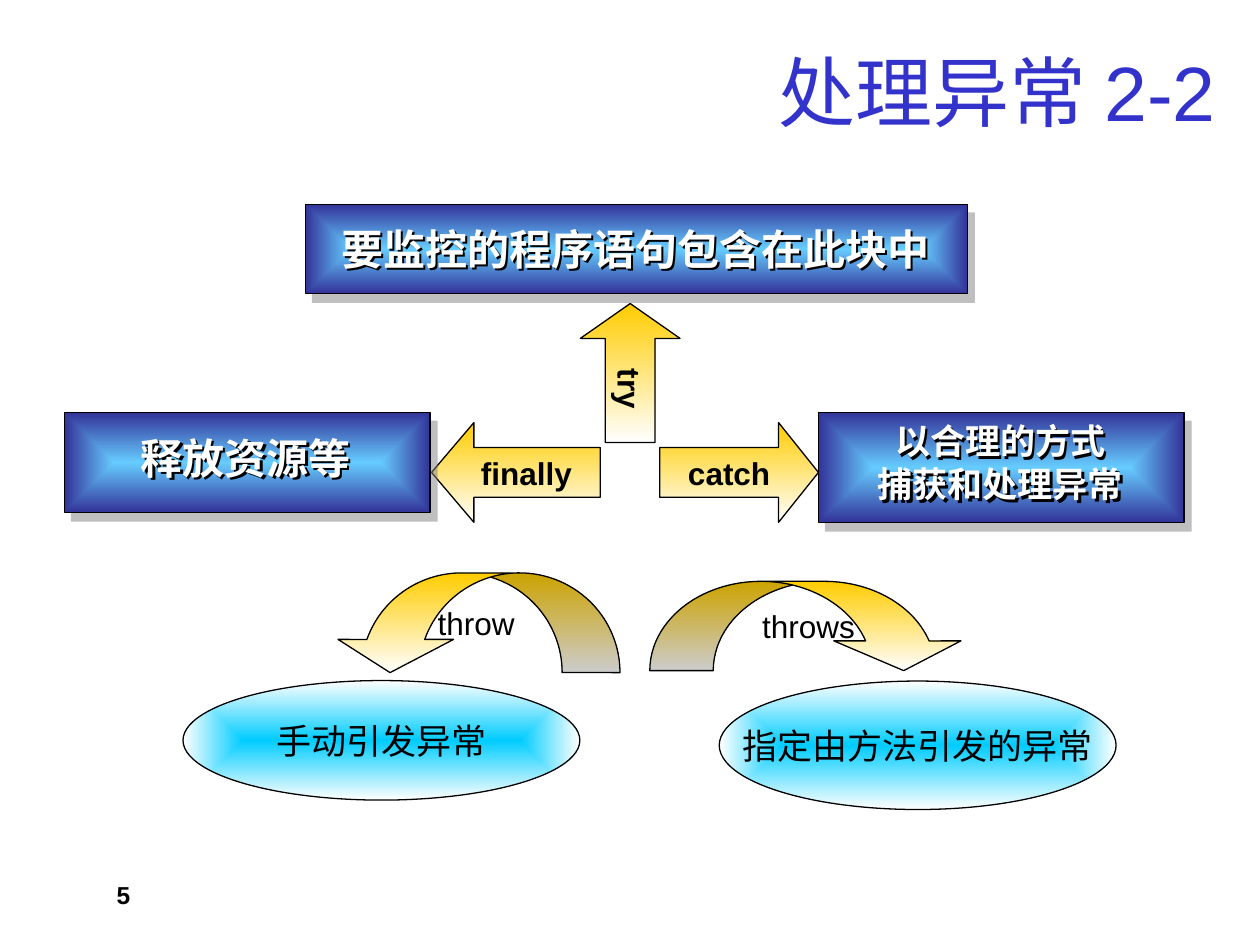
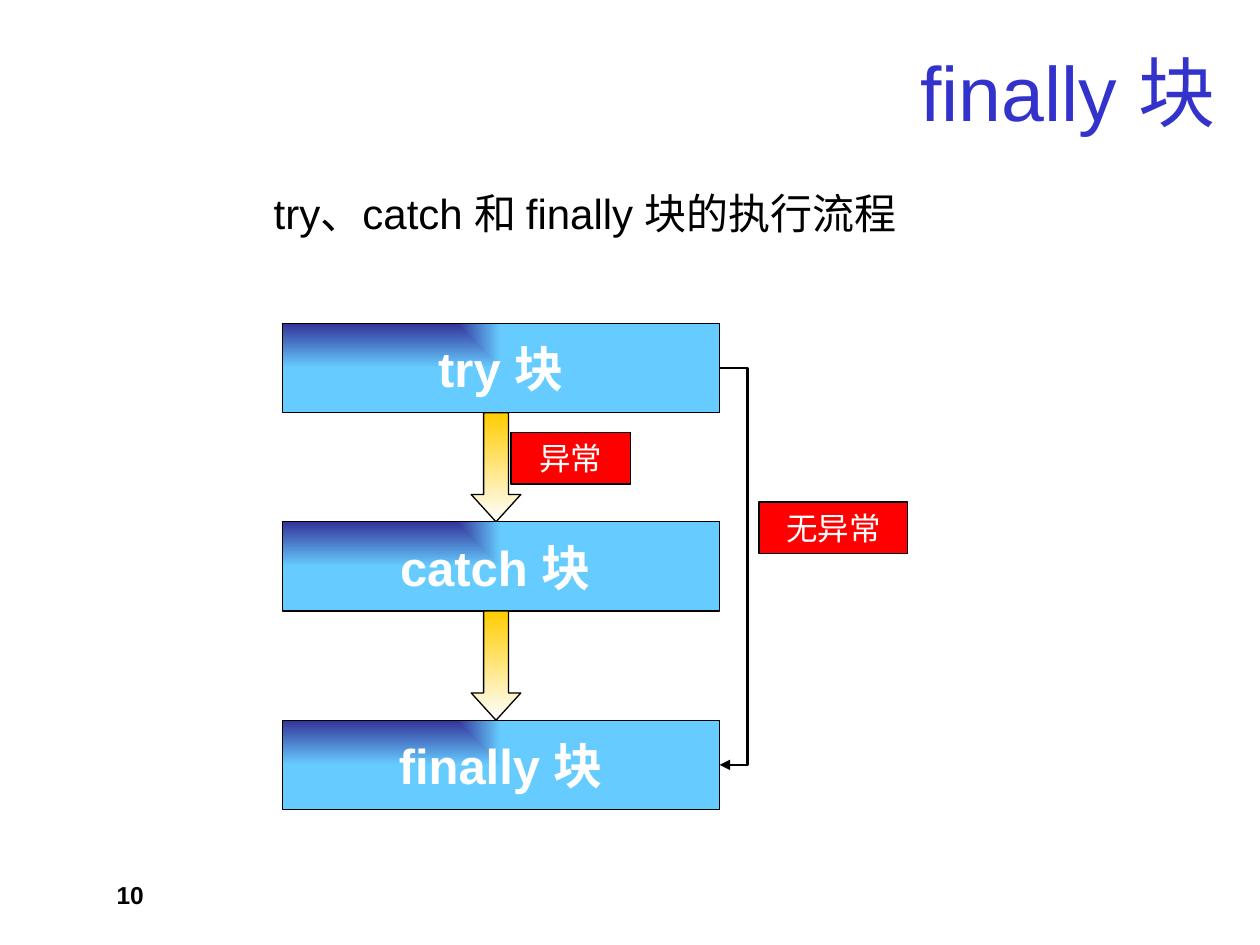
from lxml import etree
from pptx import Presentation
from pptx.dml.color import RGBColor
from pptx.enum.shapes import MSO_CONNECTOR, MSO_SHAPE
from pptx.enum.text import MSO_ANCHOR, PP_ALIGN
from pptx.oxml import parse_xml
from pptx.oxml.ns import nsdecls, qn
from pptx.util import Cm, Pt

RECTANGLE, ELLIPSE = MSO_SHAPE.RECTANGLE, MSO_SHAPE.OVAL
UP, DOWN = MSO_SHAPE.UP_ARROW, MSO_SHAPE.DOWN_ARROW
LEFT, RIGHT = MSO_SHAPE.LEFT_ARROW, MSO_SHAPE.RIGHT_ARROW
CURVED = MSO_SHAPE.CURVED_DOWN_ARROW
ELBOW = MSO_CONNECTOR.ELBOW
MIDDLE = MSO_ANCHOR.MIDDLE
ALIGN_LEFT, CENTER, ALIGN_RIGHT = PP_ALIGN.LEFT, PP_ALIGN.CENTER, PP_ALIGN.RIGHT

COLORS = {
    "title": "3333CC", "black": "000000", "white": "FFFFFF", "red": "FF0000",
    "gold": "FFCC00", "cyan": "00CCFF", "sky": "66CCFF", "navy": "333399",
    "shadow": "808080",
}
SANS, MONO = "Arial", "Courier New"

# Gradients: first colour, last colour, direction
DOWNWARD = '<a:lin ang="5400000" scaled="1"/>'
FROM_CENTER = ('<a:path path="shape">'
               '<a:fillToRect l="50000" t="50000" r="50000" b="50000"/></a:path>')
FROM_CORNER = '<a:path path="rect"><a:fillToRect r="100000" b="100000"/></a:path>'
GOLD = ("gold", "white", DOWNWARD)
GLOW = ("cyan", "white", FROM_CENTER)
BEVEL = ("sky", "navy", FROM_CENTER)
CORNER = ("navy", "sky", FROM_CORNER)

# Content; every area is left, top, width, height in cm
HANDLING_TITLE, HANDLING_NUMBER = "处理异常 2-2", 5
RESULTS = [
    ("手动引发异常", (3.69, 13.72, 8.0, 2.41)),
    ("指定由方法引发的异常", (14.5, 13.73, 8.0, 2.59)),
]
KEYWORD_ARROWS = [
    ("try", UP, (11.7, 6.12, 2.01, 2.8), 0.35),
    ("finally", LEFT, (8.7, 8.52, 3.4, 2.01), 0.425),
    ("catch", RIGHT, (13.3, 8.52, 3.2, 2.01), 0.4),
]
THROW_ARROWS = [
    ("throws", (13.1, 11.72, 6.4, 1.8), (0.711, 1.423, 0.333), False),
    ("throw", (6.7, 11.55, 5.8, 2.01), (0.58, 1.159, 0.333), True),
]
# Lines, box area, text area, text size, line spacing
ACTIONS = [
    (["要监控的程序语句包含在此块中"],
     (6.16, 4.12, 13.34, 1.8), (6.6, 4.57, 12.42, 1.07), 24, 0.8),
    (["以合理的方式", "捕获和处理异常"],
     (16.5, 8.32, 7.37, 2.21), (17.42, 8.46, 5.49, 1.85), 20, 0.85),
    (["释放资源等"],
     (1.3, 8.32, 7.37, 2.01), (2.56, 8.59, 4.78, 1.27), 24, 1.0),
]

FLOW_TITLE, FLOW_NUMBER = "finally 块", 10
FLOW_HEADING = "try、catch 和 finally 块的执行流程"
BLOCKS = ["try 块", "catch 块 ", "finally 块"]
BLOCK_LEFT, BLOCK_TOP, BLOCK_WIDTH, BLOCK_HEIGHT, BLOCK_STEP = 5.69, 6.52, 8.81, 1.8, 4.0
ARROW_LEFT, ARROW_WIDTH = 9.5, 1.0
BYPASS_REACH = 0.57
BRANCH_LABELS = [
    ("无异常", (15.3, 10.12, 3.0, 1.04)),
    ("异常", (10.3, 8.72, 2.41, 1.04)),
]


def color(name):
    return RGBColor.from_string(COLORS[name])


def cm(area):
    return [Cm(length) for length in area]


def write(shape, lines, size, ink="black", bold=False, font=SANS, align=CENTER, wrap=False):
    """Fill a shape with equally formatted, vertically centred lines."""
    frame = shape.text_frame
    frame.word_wrap = wrap
    frame.vertical_anchor = MIDDLE
    frame.text = "\n".join(lines)
    for paragraph in frame.paragraphs:
        paragraph.alignment = align
        paragraph.font.name = font
        paragraph.font.size = Pt(size)
        paragraph.font.bold = bold
        paragraph.font.color.rgb = color(ink)
    return frame


def add_shape(parent, kind, area, fill, adjustments=()):
    """Add an outlined shape; fill is a colour name or a gradient."""
    shape = parent.shapes.add_shape(kind, *cm(area))
    shape.shadow.inherit = False
    shape.line.color.rgb = color("black")
    shape.line.width = Pt(0.75)
    for index, value in enumerate(adjustments):
        shape.adjustments[index] = value
    shape.fill.solid()
    if isinstance(fill, str):
        shape.fill.fore_color.rgb = color(fill)
    else:
        first, last, direction = fill
        properties = shape._element.spPr
        properties.replace(properties.find(qn("a:solidFill")), parse_xml(
            f'<a:gradFill {nsdecls("a")} rotWithShape="1"><a:gsLst>'
            f'<a:gs pos="0"><a:srgbClr val="{COLORS[first]}"/></a:gs>'
            f'<a:gs pos="100000"><a:srgbClr val="{COLORS[last]}"/></a:gs>'
            f'</a:gsLst>{direction}</a:gradFill>'))
    return shape


def cast_shadow(shape, name, distance, angle, alpha):
    """Give a shape a hard shadow; an unfilled one casts it from its text."""
    effects = etree.SubElement(shape._element.spPr, qn("a:effectLst"))
    effects.append(parse_xml(
        f'<a:outerShdw {nsdecls("a")} blurRad="0" dist="{Pt(distance)}" '
        f'dir="{angle * 60000}" algn="ctr"><a:srgbClr val="{COLORS[name]}">'
        f'<a:alpha val="{alpha * 1000}"/></a:srgbClr></a:outerShdw>'))


def add_slide(presentation, title, number):
    """Add a slide with the shared title style and page number."""
    slide = presentation.slides.add_slide(presentation.slide_layouts[5])
    heading = slide.shapes.title
    heading.left, heading.top, heading.width, heading.height = cm((1.9, 0.72, 22.86, 2.21))
    write(heading, [title], 44, "title", align=ALIGN_RIGHT, wrap=True)
    page = slide.shapes.add_textbox(*cm((2.1, 17.73, 5.92, 0.61)))
    frame = write(page, [str(number)], 14, bold=True, align=ALIGN_LEFT, wrap=True)
    frame.margin_top = frame.margin_bottom = 0
    return slide


def build_handling(presentation):
    slide = add_slide(presentation, HANDLING_TITLE, HANDLING_NUMBER)

    # Ellipses with the outcome of throw and throws
    for text, area in RESULTS:
        write(add_shape(slide, ELLIPSE, area, GLOW), [text], 20)

    # Straight arrows named after the keywords
    for keyword, kind, area, head in KEYWORD_ARROWS:
        arrow = add_shape(slide, kind, area, GOLD, (0.5, head))
        frame = write(arrow, [keyword], 18, bold=True)
        if kind == UP:
            frame._txBody.bodyPr.set("vert", "eaVert")
            indent = frame.paragraphs[0]._p.get_or_add_pPr()
            indent.set("marL", str(Cm(0.71)))

    # Curved arrows
    for keyword, area, adjustments, mirrored in THROW_ARROWS:
        arrow = add_shape(slide, CURVED, area, GOLD, adjustments)
        if mirrored:
            arrow._element.spPr.xfrm.set("flipH", "1")
        write(arrow, [keyword], 18)

    # Bevelled boxes, each grouped with its shadowed text
    for lines, box_area, text_area, size, spacing in ACTIONS:
        group = slide.shapes.add_group_shape()
        box = add_shape(group, RECTANGLE, box_area, BEVEL)
        box._element.spPr.remove(box._element.spPr.find(qn("a:effectLst")))
        cast_shadow(box, "shadow", 6.4, 51, 50)
        label = group.shapes.add_textbox(*cm(text_area))
        cast_shadow(label, "black", 2, 45, 100)
        frame = write(label, lines, size, "white", True, MONO)
        for index, paragraph in enumerate(frame.paragraphs):
            paragraph.line_spacing = spacing
            paragraph.space_before = Pt(4 if index else 0)


def build_flow(presentation):
    slide = add_slide(presentation, FLOW_TITLE, FLOW_NUMBER)

    # Blocks, each followed by an arrow to the next
    for index, text in enumerate(BLOCKS):
        top = BLOCK_TOP + index * BLOCK_STEP
        block = add_shape(slide, RECTANGLE, (BLOCK_LEFT, top, BLOCK_WIDTH, BLOCK_HEIGHT), CORNER)
        write(block, [text], 28, "white", True)
        if index < len(BLOCKS) - 1:
            gap = (ARROW_LEFT, top + BLOCK_HEIGHT, ARROW_WIDTH, BLOCK_STEP - BLOCK_HEIGHT)
            add_shape(slide, DOWN, gap, GOLD, (0.5, 0.55))

    # Bypass from the first block to the last
    right = BLOCK_LEFT + BLOCK_WIDTH
    start = BLOCK_TOP + BLOCK_HEIGHT / 2
    end = start + BLOCK_STEP * (len(BLOCKS) - 1)
    sliver = 0.01
    bypass = slide.shapes.add_connector(ELBOW, *cm((right, start, right + sliver, end)))
    bypass.line.color.rgb = color("black")
    bypass.line.width = Pt(1.5)
    properties = bypass._element.spPr
    guides = properties.find(qn("a:prstGeom")).get_or_add_avLst()
    bend = round(BYPASS_REACH / sliver * 100000)
    etree.SubElement(guides, qn("a:gd"), name="adj1", fmla=f"val {bend}")
    etree.SubElement(properties.find(qn("a:ln")), qn("a:tailEnd"), type="triangle")
    etree.SubElement(properties, qn("a:effectLst"))

    # Labels of the two branches
    for text, area in BRANCH_LABELS:
        write(add_shape(slide, RECTANGLE, area, "red"), [text], 18, "white", wrap=True)

    # Heading of the flow
    heading = slide.shapes.add_textbox(*cm((2.3, 3.66, 19.0, 1.27)))
    write(heading, [FLOW_HEADING], 24, wrap=True)


def main():
    presentation = Presentation()
    presentation.slide_width, presentation.slide_height = Cm(25.4), Cm(19.05)
    build_handling(presentation)
    build_flow(presentation)
    presentation.save("out.pptx")


if __name__ == "__main__":
    main()
